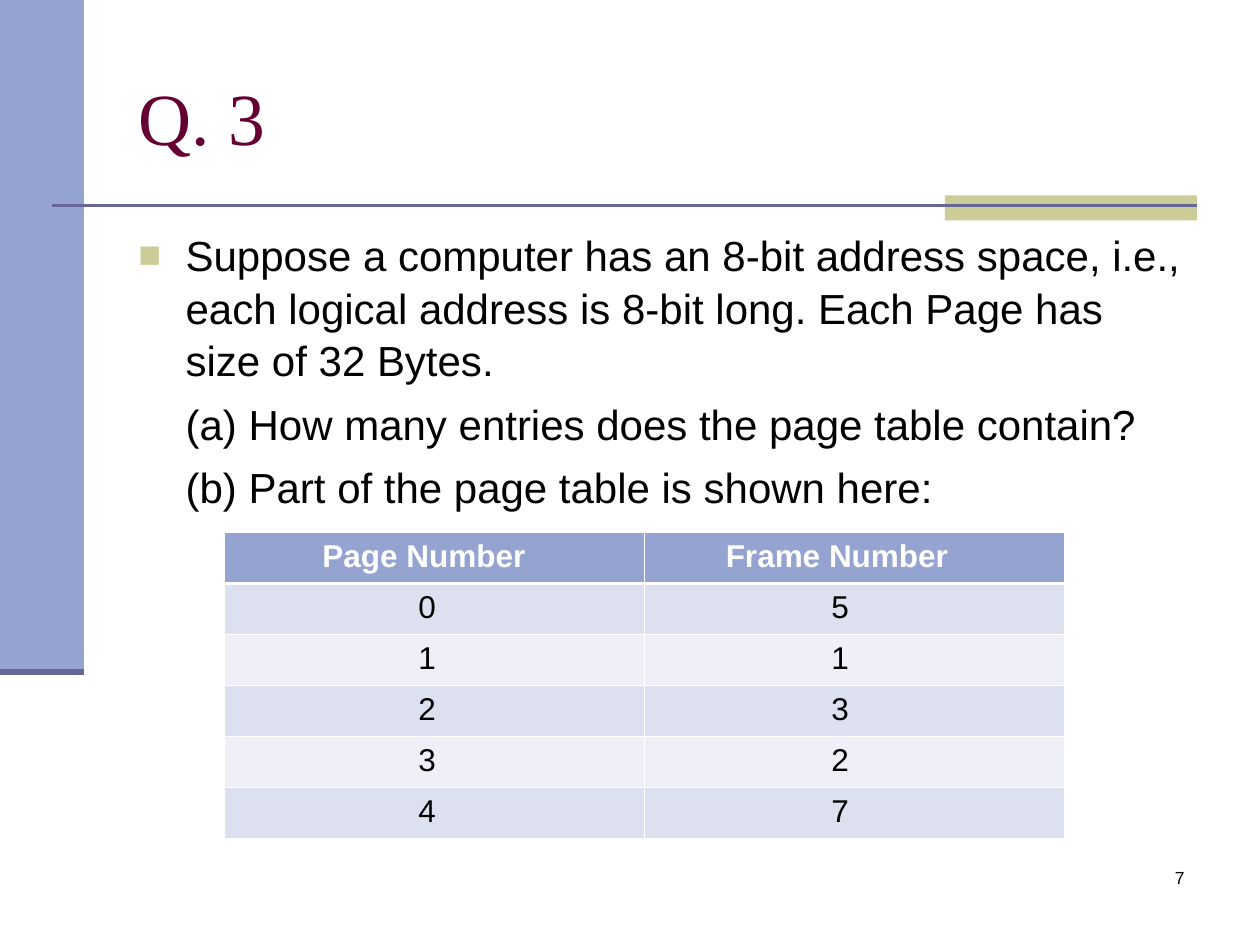
from lxml import etree
from pptx import Presentation
from pptx.dml.color import RGBColor
from pptx.enum.shapes import MSO_CONNECTOR, MSO_SHAPE
from pptx.enum.text import MSO_ANCHOR, PP_ALIGN
from pptx.oxml.ns import qn
from pptx.util import Pt

LEFT, CENTER, RIGHT = PP_ALIGN.LEFT, PP_ALIGN.CENTER, PP_ALIGN.RIGHT
TOP, MIDDLE = MSO_ANCHOR.TOP, MSO_ANCHOR.MIDDLE
RECTANGLE, STRAIGHT = MSO_SHAPE.RECTANGLE, MSO_CONNECTOR.STRAIGHT

WHITE = RGBColor(0xFF, 0xFF, 0xFF)
BLACK = RGBColor(0, 0, 0)
BLUE = RGBColor(0x95, 0xA3, 0xD1)
PURPLE = RGBColor(0x66, 0x66, 0x99)
SAND = RGBColor(0xCC, 0xCC, 0x99)
MAROON = RGBColor(0x66, 0, 0x33)
BAND_DARK = RGBColor(0xDD, 0xE0, 0xEE)
BAND_LIGHT = RGBColor(0xEF, 0xF0, 0xF7)

TITLE = "Q. 3"
PROBLEM = (
    "Suppose a computer has an 8-bit address space, i.e., each logical address "
    "is 8-bit long. Each Page has size of 32 Bytes."
)
QUESTIONS = [
    "(a) How many entries does the page table contain?",
    "(b) Part of the page table is shown here:",
]
PAGE_TABLE = [
    ("Page Number", "Frame Number"),
    ("0", "5"),
    ("1", "1"),
    ("2", "3"),
    ("3", "2"),
    ("4", "7"),
]
PAGE_NUMBER = "7"

BLOCKS = [(0, 0, 48, 384, BLUE), (540, 111.6, 144, 14.4, SAND)]
RULES = [(30, 117.4, 684, 117.4, 1.5), (0, 384, 48, 384, 3.5)]
TABLE_LEFT, TABLE_TOP, COLUMN_WIDTH, ROW_HEIGHT = 128, 304.2, 240, 29.16
MARGIN = 7.2
HEADER_SHIFTS, NUMBER_SHIFTS = (11.5, 19.5), (8, 16)
INDENT = 27


def add_block(page, left, top, width, height, color):
    block = page.shapes.add_shape(RECTANGLE, Pt(left), Pt(top), Pt(width), Pt(height))
    block.shadow.inherit = False
    block.fill.solid()
    block.fill.fore_color.rgb = color
    block.line.fill.background()


def add_rule(page, x1, y1, x2, y2, weight):
    rule = page.shapes.add_connector(STRAIGHT, Pt(x1), Pt(y1), Pt(x2), Pt(y2))
    rule.line.color.rgb = PURPLE
    rule.line.width = Pt(weight)
    etree.SubElement(rule._element.spPr, qn("a:effectLst"))


def add_box(page, left, top, width, height, anchor=TOP):
    box = page.shapes.add_textbox(Pt(left), Pt(top), Pt(width), Pt(height))
    box.text_frame.word_wrap = True
    box.text_frame.vertical_anchor = anchor
    return box.text_frame


def write(para, text, size, color=BLACK, font="Arial", bold=False, align=LEFT):
    para.alignment = align
    span = para.add_run()
    span.text = text
    span.font.name = font
    span.font.size = Pt(size)
    span.font.bold = bold
    span.font.color.rgb = color


def add_bullet(para):
    properties = para._p.get_or_add_pPr()
    properties.set("indent", str(-Pt(INDENT)))
    color = etree.SubElement(properties, qn("a:buClr"))
    etree.SubElement(color, qn("a:srgbClr"), val=str(SAND))
    etree.SubElement(properties, qn("a:buSzPct"), val="90000")
    etree.SubElement(properties, qn("a:buFont"), typeface="Arial")
    etree.SubElement(properties, qn("a:buChar"), char="■")


def add_body(page):
    frame = add_box(page, 72, 126, 612, 356)
    for index, text in enumerate([PROBLEM] + QUESTIONS):
        para = frame.paragraphs[0] if index == 0 else frame.add_paragraph()
        para.line_spacing = 1.05
        para._p.get_or_add_pPr().set("marL", str(Pt(INDENT)))
        if index == 0:
            add_bullet(para)
        else:
            para.space_before = Pt(6)
        write(para, text, 24)


def add_border(cell, side, weight):
    properties = cell._tc.get_or_add_tcPr()
    line = etree.SubElement(properties, qn("a:" + side), w=str(Pt(weight)))
    fill = etree.SubElement(line, qn("a:solidFill"))
    etree.SubElement(fill, qn("a:srgbClr"), val=str(WHITE))


def add_page_table(page):
    rows, columns = len(PAGE_TABLE), len(PAGE_TABLE[0])
    table = page.shapes.add_table(
        rows, columns, Pt(TABLE_LEFT), Pt(TABLE_TOP),
        Pt(columns * COLUMN_WIDTH), Pt(rows * ROW_HEIGHT),
    ).table
    for column in table.columns:
        column.width = Pt(COLUMN_WIDTH)
    for r, values in enumerate(PAGE_TABLE):
        table.rows[r].height = Pt(ROW_HEIGHT)
        header = r == 0
        shifts = HEADER_SHIFTS if header else NUMBER_SHIFTS
        band = BLUE if header else BAND_DARK if r % 2 else BAND_LIGHT
        weights = {
            "lnL": 0.45,
            "lnR": 0.45,
            "lnT": 1.47 if r == 1 else 0.45,
            "lnB": 1.47 if header else 0.45,
        }
        for c, value in enumerate(values):
            cell = table.cell(r, c)
            cell.margin_right = Pt(MARGIN + shifts[c])
            for side, weight in weights.items():
                add_border(cell, side, weight)
            cell.fill.solid()
            cell.fill.fore_color.rgb = band
            write(cell.text_frame.paragraphs[0], value, 18,
                  WHITE if header else BLACK, bold=header, align=CENTER)


def main():
    deck = Presentation()
    deck.slide_width, deck.slide_height = Pt(720), Pt(540)
    page = deck.slides.add_slide(deck.slide_layouts[6])
    for block in BLOCKS:
        add_block(page, *block)
    for rule in RULES:
        add_rule(page, *rule)
    title = add_box(page, 72, 21.6, 612, 90, MIDDLE)
    write(title.paragraphs[0], TITLE, 42, MAROON, "Times New Roman")
    add_body(page)
    add_page_table(page)
    number = add_box(page, 534, 492, 150, 36)
    write(number.paragraphs[0], PAGE_NUMBER, 10, align=RIGHT)
    deck.save("out.pptx")


if __name__ == "__main__":
    main()
